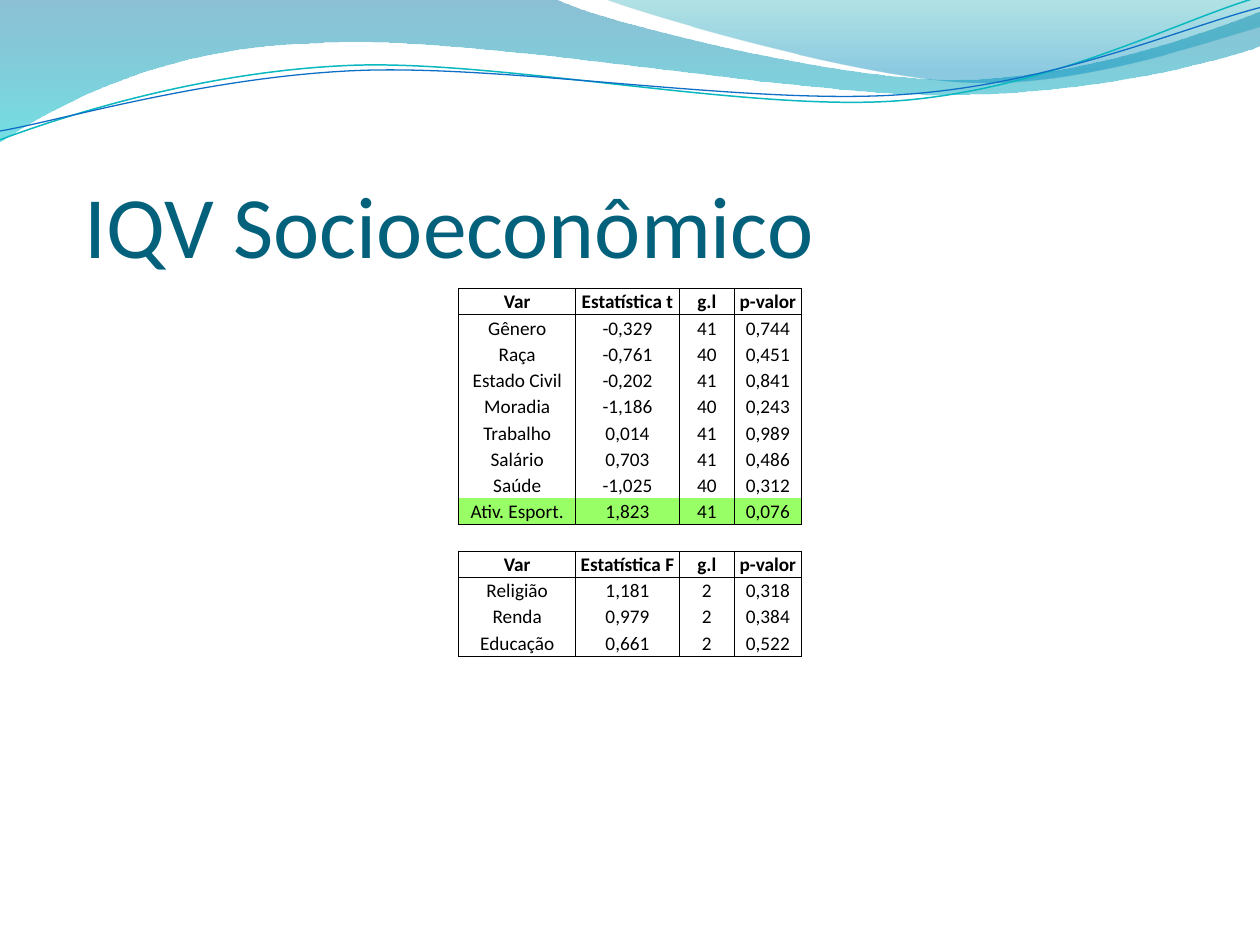
from dataclasses import dataclass
from math import cos, radians, sin

from lxml import etree
from pptx import Presentation
from pptx.dml.color import RGBColor
from pptx.enum.text import MSO_ANCHOR, MSO_AUTO_SIZE, PP_ALIGN
from pptx.oxml.ns import qn
from pptx.util import Inches, Pt

MIDDLE, BOTTOM = MSO_ANCHOR.MIDDLE, MSO_ANCHOR.BOTTOM
CENTER, LEFT = PP_ALIGN.CENTER, PP_ALIGN.LEFT
NO_AUTOFIT = MSO_AUTO_SIZE.NONE

BLACK = RGBColor(0x00, 0x00, 0x00)
TITLE_TEAL = RGBColor(0x04, 0x61, 0x7B)
HIGHLIGHT = RGBColor(0x99, 0xFF, 0x66)
DEEP_BLUE = RGBColor(0x00, 0x74, 0xA1)
AQUA = RGBColor(0x00, 0xC6, 0xCF)
SEA_GREEN = RGBColor(0x00, 0xA1, 0xA9)
SKY_BLUE = RGBColor(0x00, 0x8B, 0xBF)
LINE_TEAL = RGBColor(0x0A, 0xB8, 0xBF)
LINE_BLUE = RGBColor(0x0F, 0x6F, 0xC6)

FONT = "Calibri"
PAGE_WIDTH, PAGE_HEIGHT = Inches(10), Inches(7.5)
STRAND_TILT = -2.7
COLUMN_WIDTHS = (0.93, 0.82, 0.44, 0.53)
TABLE_LEFT, TABLE_TOP, TABLE_HEIGHT = 3.64, 2.29, 2.92
SIDES = ("L", "R", "T", "B")

Frame = tuple[float, float, float, float]
Segments = tuple[tuple[float, ...], ...]


@dataclass(frozen=True)
class Stop:
    position: float
    color: RGBColor
    opacity: int


@dataclass(frozen=True)
class Band:
    frame: Frame
    segments: Segments
    stops: tuple[Stop, Stop]


@dataclass(frozen=True)
class Strand:
    frame: Frame
    segments: Segments
    color: RGBColor
    width: float


@dataclass(frozen=True)
class Block:
    statistic: str
    rows: tuple[tuple[str, str, str, str], ...]
    highlighted: str = ""


BANDS = (
    Band(
        (-0.01, -0.01, 10.02, 1.14),
        (
            (0, 0), (4.4, -0.01),
            (4.76, 0.17, 6.64, 0.63, 7.58, 0.63),
            (8.53, 0.63, 9.58, 0.26, 10, 0.09),
            (10.01, 0.36),
            (9.83, 0.44, 8.7, 0.76, 7.46, 0.75),
            (6.22, 0.75, 3.82, 0.28, 2.57, 0.34),
            (1.29, 0.36, 0.46, 0.83, -0.01, 1.13),
            (0, 0),
        ),
        (Stop(0, DEEP_BLUE, 45), Stop(1, AQUA, 55)),
    ),
    Band(
        (4.79, -0.01, 5.21, 0.7),
        (
            (4.79, -0.01),
            (5.09, 0.11, 6.82, 0.62, 7.69, 0.65),
            (8.56, 0.69, 9.61, 0.32, 10, 0.21),
            (10, 0), (4.79, -0.01),
        ),
        (Stop(0, SEA_GREEN, 30), Stop(0.8, SKY_BLUE, 45)),
    ),
)
STRANDS = (
    Strand(
        (-0.02, 0.22, 10.02, 0.71),
        (
            (0, 1.11),
            (0.48, 0.93, 1.58, 0.57, 2.77, 0.52),
            (3.95, 0.47, 5.93, 0.89, 7.13, 0.8),
            (8.33, 0.71, 9.38, 0.15, 9.98, -0.02),
        ),
        LINE_TEAL, 0.85,
    ),
    Strand(
        (-0.02, 0.3, 10.03, 0.58),
        (
            (0, 1.04),
            (0.47, 0.96, 1.64, 0.61, 2.83, 0.56),
            (4.03, 0.51, 5.97, 0.84, 7.17, 0.75),
            (8.36, 0.67, 9.41, 0.21, 10, 0.06),
        ),
        LINE_BLUE, 0.75,
    ),
)
BLOCKS = (
    Block("Estatística t", (
        ("Gênero", "-0,329", "41", "0,744"),
        ("Raça", "-0,761", "40", "0,451"),
        ("Estado Civil", "-0,202", "41", "0,841"),
        ("Moradia", "-1,186", "40", "0,243"),
        ("Trabalho", "0,014", "41", "0,989"),
        ("Salário", "0,703", "41", "0,486"),
        ("Saúde", "-1,025", "40", "0,312"),
        ("Ativ. Esport.", "1,823", "41", "0,076"),
    ), "Ativ. Esport."),
    Block("Estatística F", (
        ("Religião", "1,181", "2", "0,318"),
        ("Renda", "0,979", "2", "0,384"),
        ("Educação", "0,661", "2", "0,522"),
    )),
)


def draw_curve(page, frame: Frame, segments: Segments, tilt: float = 0, closed: bool = False):
    left, top, width, height = frame
    builder = page.shapes.build_freeform(0, 0)
    builder.add_line_segments([(Inches(width), Inches(height))], close=False)
    shape = builder.convert_to_shape(Inches(left), Inches(top))
    shape.shadow.inherit = False
    shape.rotation = tilt
    outline = next(shape._element.iter(qn("a:path")))
    for child in list(outline):
        outline.remove(child)
    cosine, sine = cos(radians(tilt)), sin(radians(tilt))
    for index, segment in enumerate(segments):
        kind = "cubicBezTo" if len(segment) == 6 else "lnTo" if index else "moveTo"
        step = etree.SubElement(outline, qn(f"a:{kind}"))
        for x, y in zip(segment[::2], segment[1::2]):
            across, down = x - left - width / 2, y - top - height / 2
            local_x = across * cosine + down * sine + width / 2
            local_y = down * cosine - across * sine + height / 2
            etree.SubElement(step, qn("a:pt"), x=str(Inches(local_x)), y=str(Inches(local_y)))
    if closed:
        etree.SubElement(outline, qn("a:close"))
    return shape


def draw_band(page, band: Band) -> None:
    shape = draw_curve(page, band.frame, band.segments, closed=True)
    shape.line.fill.background()
    shape.fill.gradient()
    shape.fill.gradient_angle = 270
    for target, stop in zip(shape.fill.gradient_stops, band.stops):
        target.position = stop.position
        target.color.rgb = stop.color
    colors = shape._element.spPr.iter(qn("a:srgbClr"))
    for color, stop in zip(colors, band.stops):
        etree.SubElement(color, qn("a:alpha"), val=str(stop.opacity * 1000))


def draw_strand(page, strand: Strand) -> None:
    shape = draw_curve(page, strand.frame, strand.segments, STRAND_TILT)
    shape.fill.background()
    shape.line.color.rgb = strand.color
    shape.line.width = Pt(strand.width)


def draw_title(page, text: str) -> None:
    title = page.shapes.title
    page.shapes._spTree.append(title._element)
    title.left, title.top = Inches(0.67), Inches(0.94)
    title.width, title.height = Inches(9), Inches(1.25)
    frame = title.text_frame
    frame.text = text
    frame.auto_size = NO_AUTOFIT
    frame.vertical_anchor = BOTTOM
    frame.margin_left = frame.margin_right = frame.margin_bottom = 0
    frame.margin_top = Inches(0.05)
    para = frame.paragraphs[0]
    para.alignment = LEFT
    para.font.name, para.font.size = FONT, Pt(50)
    para.font.color.rgb = TITLE_TEAL


def set_borders(cell, ruled: str) -> None:
    properties = cell._tc.get_or_add_tcPr()
    for side in SIDES:
        border = etree.SubElement(properties, qn(f"a:ln{side}"), w=str(Pt(0.5)))
        if side in ruled:
            fill = etree.SubElement(border, qn("a:solidFill"))
            etree.SubElement(fill, qn("a:srgbClr"), val=str(BLACK))
        else:
            etree.SubElement(border, qn("a:noFill"))


def fill_row(cells, texts: tuple[str, ...], ruled: str, bold: bool = False, marked: bool = False) -> None:
    for cell, text in zip(cells, texts):
        set_borders(cell, ruled)
        if marked:
            cell.fill.solid()
            cell.fill.fore_color.rgb = HIGHLIGHT
        else:
            cell.fill.background()
        cell.margin_left = cell.margin_right = cell.margin_top = Inches(0.01)
        cell.margin_bottom = 0
        cell.vertical_anchor = MIDDLE
        para = cell.text_frame.paragraphs[0]
        para.alignment = CENTER
        para.font.name, para.font.size, para.font.bold = FONT, Pt(11), bold
        para.font.color.rgb = BLACK
        if text:
            para.add_run().text = text
        else:
            etree.SubElement(para._p, qn("a:endParaRPr"), sz="1100")


def draw_table(page, blocks: tuple[Block, ...]) -> None:
    row_count = sum(len(block.rows) + 1 for block in blocks) + len(blocks) - 1
    table = page.shapes.add_table(
        row_count, len(COLUMN_WIDTHS), Inches(TABLE_LEFT), Inches(TABLE_TOP),
        Inches(sum(COLUMN_WIDTHS)), Inches(TABLE_HEIGHT),
    ).table
    table.first_row = table.horz_banding = False
    for column, width in zip(table.columns, COLUMN_WIDTHS):
        column.width = Inches(width)
    rows = iter(table.rows)
    for index, block in enumerate(blocks):
        if index:
            fill_row(next(rows).cells, ("",) * len(COLUMN_WIDTHS), "TB")
        fill_row(next(rows).cells, ("Var", block.statistic, "g.l", "p-valor"), "LRTB", bold=True)
        for texts in block.rows:
            ruled = "LR" + "T" * (texts == block.rows[0]) + "B" * (texts == block.rows[-1])
            fill_row(next(rows).cells, texts, ruled, marked=texts[0] == block.highlighted)


def main() -> None:
    deck = Presentation()
    deck.slide_width, deck.slide_height = PAGE_WIDTH, PAGE_HEIGHT
    page = deck.slides.add_slide(deck.slide_layouts[5])
    for band in BANDS:
        draw_band(page, band)
    for strand in STRANDS:
        draw_strand(page, strand)
    draw_title(page, "IQV Socioeconômico")
    draw_table(page, BLOCKS)
    deck.save("out.pptx")


if __name__ == "__main__":
    main()
